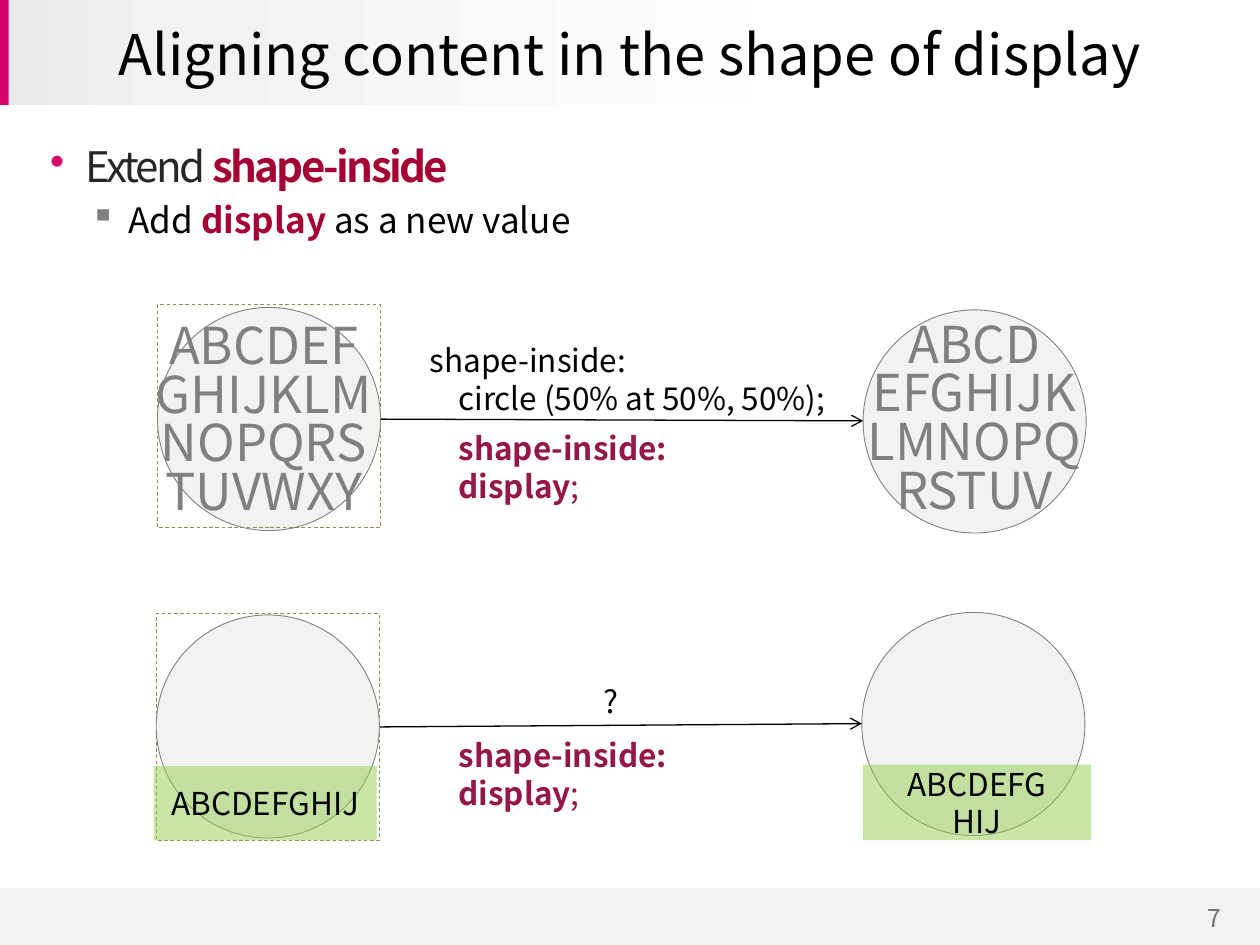
from copy import deepcopy

from lxml import etree
from pptx import Presentation
from pptx import util as u
from pptx.dml import color
from pptx.enum import dml, shapes, text
from pptx.oxml import ns

FONT = "Noto Sans CJK KR"
COLORS = {
    "black": "000000", "body": "262626", "gray": "808080", "number": "707070",
    "pale": "F2F2F2", "fade": "EAEAEA", "white": "FFFFFF", "accent": "D6006B",
    "keyword": "A50034", "property": "951747", "frame": "948A54", "green": "92D050",
}
DIAMETER = 127.5
CENTER = text.PP_ALIGN.CENTER


def rgb(name):
    """Return the named colour."""
    return color.RGBColor.from_string(COLORS[name])


def points(*lengths):
    """Turn numbers into lengths in points."""
    return [u.Pt(length) for length in lengths]


def child(parent, tag, **attributes):
    """Append a drawing element to a parent element."""
    return etree.SubElement(parent, ns.qn(tag), attributes)


def style_run(run, size, ink, bold=False):
    """Set the font of one run."""
    run.font.name, run.font.size, run.font.bold = FONT, u.Pt(size), bold
    run.font.color.rgb = rgb(ink)


def write(shape, wording, size, ink, align=CENTER, spacing=None, inset=0, wrap=False):
    """Fill a shape with evenly styled, vertically centred text."""
    frame = shape.text_frame
    frame.text = wording
    frame.word_wrap = wrap
    frame.vertical_anchor = text.MSO_ANCHOR.MIDDLE
    frame.margin_left = frame.margin_right = u.Pt(inset)
    frame.margin_top = frame.margin_bottom = u.Pt(inset / 2)
    for paragraph in frame.paragraphs:
        paragraph.alignment, paragraph.line_spacing = align, spacing
        for run in paragraph.runs:
            style_run(run, size, ink)


def add_label(slide, box, wording, size, ink, **layout):
    """Add a text box with one style."""
    label = slide.shapes.add_textbox(*points(*box))
    write(label, wording, size, ink, **layout)
    return label


def add_block(slide, box, fill=None, outline=None, kind="RECTANGLE"):
    """Add a preset shape with an optional fill and thin outline."""
    block = slide.shapes.add_shape(shapes.MSO_SHAPE[kind], *points(*box))
    block.shadow.inherit = False
    if fill:
        block.fill.solid()
        block.fill.fore_color.rgb = rgb(fill)
    else:
        block.fill.background()
    if outline:
        block.line.color.rgb = rgb(outline)
        block.line.width = u.Pt(0.5)
    else:
        block.line.fill.background()
    return block


def add_circle(slide, left, top):
    """Add a round display."""
    return add_block(slide, (left, top, DIAMETER, DIAMETER), "pale", "gray", "OVAL")


def add_frame(slide, left, top, height):
    """Add the dashed bounding box of a display."""
    frame = add_block(slide, (left, top, DIAMETER, height), outline="frame")
    frame.line.dash_style = dml.MSO_LINE.DASH
    return frame


def add_strip(slide, box, wording):
    """Add a half-transparent green strip of content."""
    strip = add_block(slide, box, "green")
    child(strip.fill._xPr.find(".//" + ns.qn("a:srgbClr")), "a:alpha", val="50000")
    write(strip, wording, 18, "black")


def add_arrow(slide, start, end):
    """Add a thin black arrow."""
    arrow = slide.shapes.add_connector(shapes.MSO_CONNECTOR.STRAIGHT, *points(*start, *end))
    arrow.line.color.rgb = rgb("black")
    arrow.line.width = u.Pt(0.75)
    child(arrow.line._get_or_add_ln(), "a:tailEnd", type="arrow")
    child(arrow._element.spPr, "a:effectLst")
    return arrow


def add_property(slide, top):
    """Add the proposed shape-inside declaration."""
    label = add_label(slide, (254.9, top, 178.6, 28.8), "shape-inside: display", 18,
                      "property", align=text.PP_ALIGN.LEFT, inset=7.2, wrap=True)
    label.text_frame.vertical_anchor = text.MSO_ANCHOR.TOP
    paragraph = label.text_frame.paragraphs[0]
    paragraph.runs[0].font.bold = True
    semicolon = paragraph.add_run()
    semicolon.text = ";"
    style_run(semicolon, 18, "property")


def add_bullet(paragraph, pieces, size, mark, mark_ink, indent, hanging, before, tracking=0):
    """Fill a bulleted paragraph with (wording, colour, bold) pieces."""
    paragraph.space_before = u.Pt(before)
    properties = paragraph._p.get_or_add_pPr()
    properties.set("marL", str(u.Pt(indent)))
    properties.set("indent", str(-u.Pt(hanging)))
    child(child(properties, "a:buClr"), "a:srgbClr", val=COLORS[mark_ink])
    child(properties, "a:buChar", char=mark)
    for wording, ink, bold in pieces:
        run = paragraph.add_run()
        run.text = wording
        style_run(run, size, ink, bold)
        run.font._element.set("spc", str(tracking))


def add_header_and_footer(slide):
    """Add the bands, title and slide number."""
    add_block(slide, (0, 507.6, 720, 32.4), "pale")
    header = add_block(slide, (5, 0, 715, 60))
    header.fill.gradient()
    header.fill.gradient_angle = 0
    first = header.fill.gradient_stops[0]._gs
    first.addnext(deepcopy(first))
    fade = ((0, "fade"), (0.13, "pale"), (0.67, "white"))
    for stop, (position, ink) in zip(header.fill.gradient_stops, fade):
        stop.position, stop.color.rgb = position, rgb(ink)
    add_label(slide, (669, 512, 49.5, 24.5), "7", 14, "number", inset=7.2)
    add_block(slide, (0, 0, 5, 60), "accent")
    add_label(slide, (14.4, 5.8, 691.2, 49), "Aligning content in the shape of display",
              32, "black", inset=7.2, wrap=True)


def add_proposal(slide):
    """Add the two bulleted lines."""
    proposal = slide.shapes.add_textbox(*points(14.4, 77, 692, 425.5)).text_frame
    proposal.word_wrap = True
    add_bullet(proposal.paragraphs[0],
               [("Extend ", "body", False), ("shape-inside", "keyword", True)],
               24, "•", "accent", 27.4, 20.2, 6, -150)
    add_bullet(proposal.add_paragraph(),
               [("Add ", "black", False), ("display", "keyword", True),
                (" as a new value", "black", False)],
               20, "▪", "gray", 52, 22, 4)


def add_text_example(slide):
    """Show letters reflowing inside a round display."""
    shaped = add_circle(slide, 493.2, 177.1)
    write(shaped, "ABCD\nEFGHIJK\nLMNOPQ\nRSTUV", 29, "gray", spacing=0.8)
    add_arrow(slide, (217.5, 239.5), (493.2, 240.5))
    add_circle(slide, 90, 175.7)
    add_label(slide, (82.8, 167.8, 136, 147.6), "ABCDEF\nGHIJKLM\nNOPQRS\nTUVWXY",
              29, "gray", spacing=0.8)
    add_frame(slide, 90, 174.2, DIAMETER)
    current = add_label(slide, (238.3, 190.8, 248.4, 51),
                        "shape-inside:\ncircle (50% at 50%, 50%);", 18, "black",
                        align=text.PP_ALIGN.LEFT, inset=7.2, wrap=True)
    current.text_frame.paragraphs[1]._p.get_or_add_pPr().set("marL", str(u.Pt(16.5)))
    add_property(slide, 241.9)


def add_strip_example(slide):
    """Show a bottom strip fitting into a round display."""
    add_circle(slide, 492.5, 350)
    frame = add_frame(slide, 89.3, 350.6, 129.6)
    arrow = add_arrow(slide, (216.8, 415.4), (492.5, 413.5))
    arrow.begin_connect(frame, 3)
    add_circle(slide, 89.3, 351.4)
    add_strip(slide, (493.2, 437, 130.3, 43.2), "ABCDEFG\nHIJ")
    add_strip(slide, (87.8, 437.8, DIAMETER, 42.5), "ABCDEFGHIJ")
    add_property(slide, 416.9)
    add_label(slide, (337.7, 385.9, 23, 28.8), "?", 18, "black", inset=7.2)


def main():
    """Build the slide and save it."""
    deck = Presentation()
    deck.slide_width, deck.slide_height = points(720, 540)
    slide = deck.slides.add_slide(deck.slide_layouts[6])
    add_header_and_footer(slide)
    add_proposal(slide)
    add_text_example(slide)
    add_strip_example(slide)
    deck.save("out.pptx")


if __name__ == "__main__":
    main()
